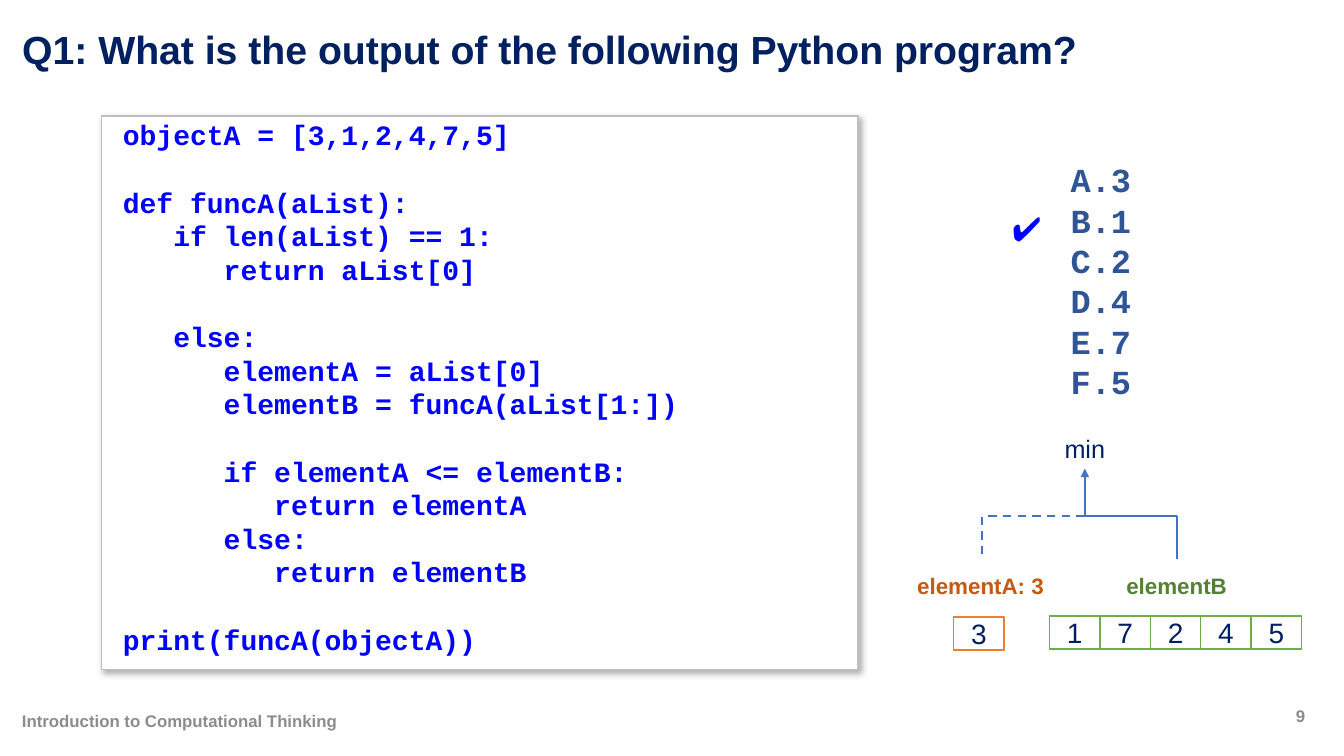
from lxml import etree
from pptx import Presentation
from pptx.dml.color import RGBColor
from pptx.enum import dml, shapes, text
from pptx.oxml import parse_xml
from pptx.oxml.ns import nsdecls, qn
from pptx.util import Inches, Pt

NAVY = RGBColor(0x00, 0x20, 0x60)
BLUE = RGBColor(0x00, 0x00, 0xFF)
STEEL = RGBColor(0x2F, 0x55, 0x97)
LINK = RGBColor(0x44, 0x72, 0xC4)
ORANGE = RGBColor(0xED, 0x7D, 0x31)
RUST = RGBColor(0xC5, 0x5A, 0x11)
GREEN = RGBColor(0x70, 0xAD, 0x47)
MOSS = RGBColor(0x54, 0x82, 0x35)
GRAY = RGBColor(0x8C, 0x8C, 0x8C)
SILVER = RGBColor(0xBF, 0xBF, 0xBF)
WHITE = RGBColor(0xFF, 0xFF, 0xFF)

MONO = "Courier New"
LEFT, CENTER = text.PP_ALIGN.LEFT, text.PP_ALIGN.CENTER

TITLE = "Q1: What is the output of the following Python program?"
FOOTER = "Introduction to Computational Thinking"
PAGE_NUMBER = "9"
CODE = """objectA = [3,1,2,4,7,5]

def funcA(aList):
   if len(aList) == 1:
      return aList[0]

   else:
      elementA = aList[0]
      elementB = funcA(aList[1:])

      if elementA <= elementB:
         return elementA
      else:
         return elementB

print(funcA(objectA))"""
CODE_LINE = Pt(24)
ANSWERS = ["3", "1", "2", "4", "7", "5"]
HEAD, TAIL = ["3"], ["1", "7", "2", "4", "5"]
CELL_WIDTH, CELL_HEIGHT = 0.5, 0.33

# Tree: centres of the branches and height of the crossbar
A_X, MIN_X, B_X, BAR_Y = 9.74, 10.76, 11.67, 5.12
BRANCHES = [  # start, end, dashed
    ((A_X, 5.5), (A_X, 5.07), True),
    ((MIN_X, BAR_Y), (A_X, BAR_Y), True),
    ((B_X, BAR_Y), (MIN_X, BAR_Y), False),
    ((B_X, 5.55), (B_X, BAR_Y), False),
]


def add_span(para, words, size, color, font="Arial", bold=True):
    span = para.add_run()
    span.text = words
    span.font.size, span.font.name, span.font.bold = Pt(size), font, bold
    span.font.color.rgb = color


def add_label(page, place, words, size, color, font="Arial", bold=True,
              align=LEFT, anchor=text.MSO_ANCHOR.TOP, wrap=True):
    box = page.shapes.add_textbox(*map(Inches, place))
    frame = box.text_frame
    frame.word_wrap, frame.vertical_anchor = wrap, anchor
    para = frame.paragraphs[0]
    para.alignment = align
    add_span(para, words, size, color, font, bold)
    return box


def add_panel(page, place, line_color):
    panel = page.shapes.add_shape(shapes.MSO_SHAPE.RECTANGLE, *map(Inches, place))
    panel.shadow.inherit = False
    panel.fill.solid()
    panel.fill.fore_color.rgb = WHITE
    panel.line.color.rgb = line_color
    panel.line.width = Pt(1)
    return panel


def add_cells(page, left, top, values, line_color):
    for index, value in enumerate(values):
        place = (left + index * CELL_WIDTH, top, CELL_WIDTH, CELL_HEIGHT)
        frame = add_panel(page, place, line_color).text_frame
        frame.margin_left = frame.margin_right = 0
        frame.margin_top = frame.margin_bottom = 0
        frame.vertical_anchor = text.MSO_ANCHOR.MIDDLE
        para = frame.paragraphs[0]
        para.alignment = CENTER
        add_span(para, value, 20, NAVY, bold=False)


def add_branch(page, start, end, dashed=False):
    branch = page.shapes.add_connector(
        shapes.MSO_CONNECTOR.STRAIGHT, *map(Inches, start + end))
    branch.line.color.rgb = LINK
    branch.line.width = Pt(1.5)
    if dashed:
        branch.line.dash_style = dml.MSO_LINE.DASH
    etree.SubElement(branch._element.spPr, qn("a:effectLst"))
    return branch


def add_title(page):
    title = page.shapes.title
    title.left, title.top = Inches(0.12), Inches(0.17)
    title.width, title.height = Inches(12.7), Inches(0.68)
    title.text_frame.vertical_anchor = text.MSO_ANCHOR.MIDDLE
    para = title.text_frame.paragraphs[0]
    para.alignment, para.line_spacing = LEFT, 0.9
    add_span(para, TITLE, 28, NAVY)


def add_code(page):
    panel = add_panel(page, (1.01, 1.15, 7.5, 5.49), SILVER)
    effects = panel._element.spPr.find(qn("a:effectLst"))
    effects.append(parse_xml(
        f'<a:outerShdw {nsdecls("a")} blurRad="{Pt(4.5)}" dist="{Pt(2.6)}" '
        'dir="3180000" algn="tl" rotWithShape="0"><a:srgbClr val="000000">'
        '<a:alpha val="30000"/></a:srgbClr></a:outerShdw>'))
    first, *rest = CODE.split("\n")
    box = add_label(page, (1.12, 1.12, 6.37, 5.49), first, 20, BLUE, MONO)
    gap = 0
    for line in rest:
        if not line:
            gap = CODE_LINE
            continue
        para = box.text_frame.add_paragraph()
        para.space_before = gap
        add_span(para, line, 20, BLUE, MONO)
        gap = 0


def add_answers(page):
    box = add_label(page, (10.52, 1.53, 1.01, 2.52), ANSWERS[0], 24, STEEL, MONO)
    for answer in ANSWERS[1:]:
        add_span(box.text_frame.add_paragraph(), answer, 24, STEEL, MONO)
    for para in box.text_frame.paragraphs:
        props = para._p.get_or_add_pPr()
        props.set("marL", str(Inches(0.38)))
        props.set("indent", str(-Inches(0.38)))
        etree.SubElement(props, qn("a:buFont"), typeface=MONO)
        etree.SubElement(props, qn("a:buAutoNum"), type="alphaUcPeriod")
    add_label(page, (9.94, 2.01, 0.58, 0.5), "✔", 24, BLUE, "Calibri")


def add_tree(page):
    add_label(page, (8.97, 5.63, 1.51, 0.37), "elementA: 3", 16, RUST, align=CENTER)
    add_label(page, (10.94, 5.63, 1.46, 0.37), "elementB", 16, MOSS, align=CENTER)
    goal = add_label(page, (MIN_X - 0.3, 4.25, 0.6, 0.4), "min", 18, NAVY,
                     bold=False, wrap=False)
    for start, end, dashed in BRANCHES:
        add_branch(page, start, end, dashed)
    arrow = add_branch(page, (MIN_X, BAR_Y), (MIN_X, 4.65))
    arrow.end_connect(goal, 2)
    etree.SubElement(arrow.line._get_or_add_ln(), qn("a:tailEnd"), type="triangle")
    add_cells(page, 9.46, 6.12, HEAD, ORANGE)
    add_cells(page, 10.41, 6.11, TAIL, GREEN)


def main():
    deck = Presentation()
    deck.slide_width, deck.slide_height = Inches(13.33), Inches(7.5)
    page = deck.slides.add_slide(deck.slide_layouts[5])
    add_title(page)
    middle = text.MSO_ANCHOR.MIDDLE
    add_label(page, (0.12, 6.95, 8.24, 0.4), FOOTER, 12, GRAY, anchor=middle)
    add_label(page, (12.66, 6.9, 0.48, 0.4), PAGE_NUMBER, 12, GRAY,
              align=CENTER, anchor=middle)
    add_code(page)
    add_answers(page)
    add_tree(page)
    deck.save("out.pptx")


if __name__ == "__main__":
    main()
